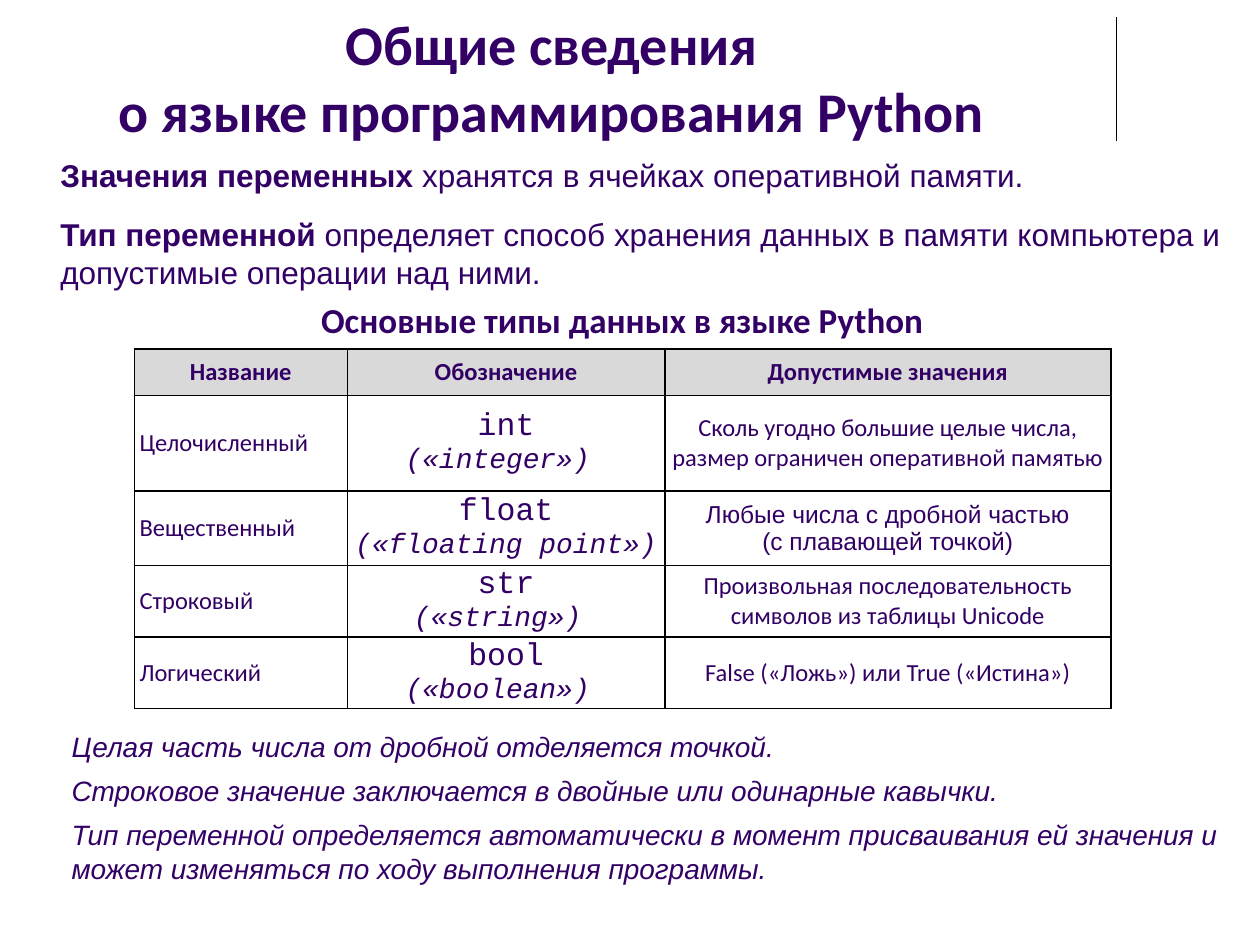
from lxml.etree import SubElement
from pptx import Presentation
from pptx.dml.color import RGBColor
from pptx.enum.shapes import MSO_CONNECTOR
from pptx.enum.text import MSO_ANCHOR as Anchor, PP_ALIGN as Align
from pptx.oxml.ns import qn
from pptx.util import Pt

INK = "330066"
TABLE_INK = "320064"
HEADER_FILL = "D9D9D9"
COLUMN_WIDTHS = (121.7, 181.4, 254.9)
ROW_HEIGHTS = (26.6, 54.7, 42.5, 39.6, 39.6)
HEADINGS = ("Название", "Обозначение", "Допустимые значения")
DATA_TYPES = (
    ("Целочисленный", "int", "(«integer») ", "Calibri",
     "Сколь угодно большие целые числа, размер ограничен оперативной памятью"),
    ("Вещественный", "float", "(«floating point») ", "Arial",
     "Любые числа с дробной частью\v(с плавающей точкой)"),
    ("Строковый", "str", "(«string») ", "Calibri",
     "Произвольная последовательность символов из таблицы Unicode"),
    ("Логический", "bool", "(«boolean») ", "Calibri",
     "False («Ложь») или True («Истина»)"),
)
DEFINITIONS = (
    ("Значения переменных", " хранятся в ячейках оперативной памяти."),
    ("Тип переменной ", "определяет способ хранения данных в памяти компьютера "
                        "и допустимые операции над ними."),
)
NOTES = (
    ("Целая часть числа от дробной отделяется точкой.", 6),
    ("Строковое значение заключается в двойные или одинарные кавычки.", 6),
    ("Тип переменной определяется автоматически в момент присваивания ей "
     "значения и может изменяться по ходу выполнения программы.", 12),
)


def color(value):
    return RGBColor.from_string(value)


def set_font(font, name, size, ink=INK, bold=False, italic=False):
    font.name, font.size = name, Pt(size)
    font.bold, font.italic = bold, italic
    font.color.rgb = color(ink)


def add_text_frame(slide, box, anchor=Anchor.TOP):
    frame = slide.shapes.add_textbox(*map(Pt, box)).text_frame
    frame.word_wrap = True
    frame.vertical_anchor = anchor
    return frame


def next_paragraph(frame, index):
    return frame.add_paragraph() if index else frame.paragraphs[0]


def add_heading(slide, box, text, size):
    paragraph = add_text_frame(slide, box, Anchor.BOTTOM).paragraphs[0]
    paragraph.text = text
    paragraph.alignment = Align.CENTER
    set_font(paragraph.font, "Calibri", size, bold=True)


def add_title_rule(slide, x, top, bottom):
    line = slide.shapes.add_connector(
        MSO_CONNECTOR.STRAIGHT, Pt(x), Pt(top), Pt(x), Pt(bottom))
    line.line.color.rgb = color("000000")
    line.line.width = Pt(0.75)
    SubElement(line._element.spPr, qn("a:effectLst"))


def add_definitions(slide, box):
    frame = add_text_frame(slide, box)
    for index, (term, meaning) in enumerate(DEFINITIONS):
        paragraph = next_paragraph(frame, index)
        paragraph.space_after = Pt(12)
        set_font(paragraph.font, "Arial", 18)
        term_run = paragraph.add_run()
        term_run.text = term
        term_run.font.bold = True
        paragraph.add_run().text = meaning


def add_notes(slide, box):
    frame = add_text_frame(slide, box)
    for index, (text, gap) in enumerate(NOTES):
        paragraph = next_paragraph(frame, index)
        paragraph.text = text
        paragraph.space_after = Pt(gap)
        set_font(paragraph.font, "Arial", 16, italic=True)


def format_cell(cell, fill):
    cell.vertical_anchor = Anchor.MIDDLE
    cell.margin_left = cell.margin_right = Pt(3)
    cell.margin_top = cell.margin_bottom = 0
    properties = cell._tc.get_or_add_tcPr()
    for side in ("lnL", "lnR", "lnT", "lnB"):
        border = SubElement(properties, qn(f"a:{side}"), w=str(Pt(1)))
        SubElement(SubElement(border, qn("a:solidFill")),
                   qn("a:srgbClr"), val="000000")
    cell.fill.solid()
    cell.fill.fore_color.rgb = color(fill)


def write_cell(cell, text, font_name="Calibri", align=Align.CENTER, bold=False):
    paragraph = cell.text_frame.paragraphs[0]
    paragraph.text = text
    paragraph.alignment = align
    set_font(paragraph.font, font_name, 14, TABLE_INK, bold)


def write_type_name(cell, keyword, full_name):
    paragraph = cell.text_frame.paragraphs[0]
    paragraph.alignment = Align.CENTER
    keyword_run = paragraph.add_run()
    keyword_run.text = keyword
    set_font(keyword_run.font, "Courier New", 18, TABLE_INK)
    paragraph.add_line_break()
    name_run = paragraph.add_run()
    name_run.text = full_name
    set_font(name_run.font, "Courier New", 16, TABLE_INK, italic=True)


def add_types_table(slide, left, top):
    table = slide.shapes.add_table(
        len(ROW_HEIGHTS), len(COLUMN_WIDTHS), Pt(left), Pt(top),
        Pt(sum(COLUMN_WIDTHS)), Pt(sum(ROW_HEIGHTS))).table
    table.horz_banding = False
    for column, width in zip(table.columns, COLUMN_WIDTHS):
        column.width = Pt(width)
    for index, (row, height) in enumerate(zip(table.rows, ROW_HEIGHTS)):
        row.height = Pt(height)
        for cell in row.cells:
            format_cell(cell, "FFFFFF" if index else HEADER_FILL)
    for column, heading in enumerate(HEADINGS):
        write_cell(table.cell(0, column), heading, bold=True)
    for row, data_type in enumerate(DATA_TYPES, 1):
        label, keyword, full_name, values_font, values = data_type
        write_cell(table.cell(row, 0), label, align=Align.LEFT)
        write_type_name(table.cell(row, 1), keyword, full_name)
        write_cell(table.cell(row, 2), values, values_font)


def main():
    presentation = Presentation()
    presentation.slide_width, presentation.slide_height = Pt(720), Pt(540)
    slide = presentation.slides.add_slide(presentation.slide_layouts[6])
    add_title_rule(slide, 638, 10, 80.6)
    add_heading(slide, (11.5, 3.6, 614.9, 82),
                "Общие сведения \vо языке программирования Python ", 32)
    add_definitions(slide, (27.4, 85.7, 681, 85))
    add_heading(slide, (167, 170.6, 377.3, 27.4),
                "Основные типы данных в языке Python", 20)
    add_types_table(slide, 76.8, 199.4)
    add_notes(slide, (33.8, 413.3, 675.4, 97.2))
    presentation.save("out.pptx")


if __name__ == "__main__":
    main()
